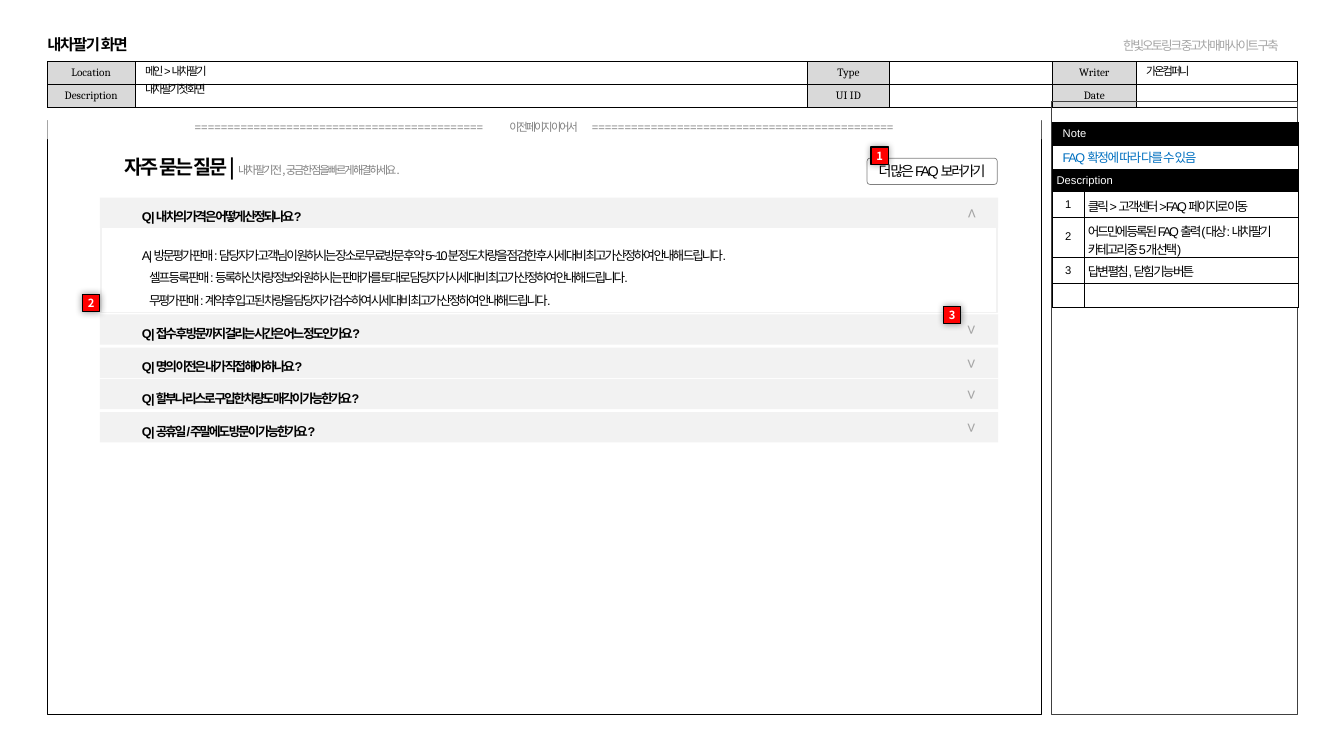
"""Builds the FAQ wireframe slide on a grid of tenth-of-an-inch cells."""
from lxml import etree
from pptx import Presentation
from pptx import util as u
from pptx.dml.color import RGBColor
from pptx.enum import shapes, text
from pptx.oxml.ns import qn

BLACK = RGBColor(0x00, 0x00, 0x00)
WHITE = RGBColor(0xFF, 0xFF, 0xFF)
DARK = RGBColor(0x40, 0x40, 0x40)
GRAY = RGBColor(0x80, 0x80, 0x80)
SILVER = RGBColor(0xA6, 0xA6, 0xA6)
LABEL = RGBColor(0xD9, 0xD9, 0xD9)
BAND = RGBColor(0xF2, 0xF2, 0xF2)
BLUE = RGBColor(0x00, 0x70, 0xC0)
RED = RGBColor(0xFF, 0x00, 0x00)
KOREAN = "Noto Sans CJK KR"
CENTER, LEFT = text.PP_ALIGN.CENTER, text.PP_ALIGN.LEFT
TOP, MIDDLE = text.MSO_ANCHOR.TOP, text.MSO_ANCHOR.MIDDLE
RECT = shapes.MSO_SHAPE.RECTANGLE


class Board:
    """Holds the current slide, its grid and its base text style."""

    def __init__(self, prs):
        self.s = prs.slides.add_slide(prs.slide_layouts[6])
        self.cell = u.Inches(0.1)
        self.base = dict(name="Arial", size=8, bold=False, color=BLACK, spc=0)

    def g(self, *cells):
        return [round(c * self.cell) for c in cells]

    def add_words(self, p, words, **style):
        style = {**self.base, **style}
        r = p.add_run()
        r.text = words
        for key, value in dict(name=style["name"], size=u.Pt(style["size"]), bold=style["bold"]).items():
            setattr(r.font, key, value)
        r.font.color.rgb = style["color"]
        rPr = r._r.get_or_add_rPr()
        rPr.set("spc", str(round(style["spc"] * 100)))
        etree.SubElement(rPr, qn("a:ea"), typeface=KOREAN)

    def set_text(self, tf, paras, anchor=TOP, inset=(1, 0.5), indent=0, para=None, **style):
        dx, dy = self.g(*inset)
        frame = dict(word_wrap=True, vertical_anchor=anchor, margin_left=dx,
                     margin_right=dx, margin_top=dy, margin_bottom=dy)
        for key, value in frame.items():
            setattr(tf, key, value)
        for i, runs in enumerate(paras):
            p = tf.add_paragraph() if i else tf.paragraphs[0]
            for key, value in {"alignment": LEFT, **(para or {})}.items():
                setattr(p, key, value)
            if i and indent:
                p._p.get_or_add_pPr().set("marL", str(self.g(indent)[0]))
            for words, extra in ([(runs, {})] if isinstance(runs, str) else runs):
                self.add_words(p, words, **{**style, **extra})

    def label(self, at, *paras, rotation=0, **fmt):
        sp = self.s.shapes.add_textbox(*self.g(*at))
        sp.rotation = rotation
        self.set_text(sp.text_frame, paras, **fmt)

    def box(self, at, *paras, kind=RECT, fill=None, line=None, width=1, **fmt):
        sp = self.s.shapes.add_shape(kind, *self.g(*at))
        sp.shadow.inherit = False
        for part, color in ((sp.fill, fill), (sp.line.fill, line)):
            if color is None:
                part.background()
            else:
                part.solid()
                part.fore_color.rgb = color
        if line is not None:
            sp.line.width = u.Pt(width)
        if paras:
            self.set_text(sp.text_frame, paras, **fmt)
        return sp

    def badge(self, left, top, number):
        sp = self.box((left, top, 1.7, 1.7), number, fill=RED, line=BLACK, anchor=MIDDLE, inset=(0, 0),
                      para=dict(alignment=CENTER), name=KOREAN, bold=True, color=WHITE)
        glow = etree.SubElement(sp._element.spPr.find(qn("a:effectLst")), qn("a:outerShdw"),
                                blurRad=str(u.Pt(5)), dist="0", dir="0", algn="ctr", rotWithShape="0")
        color = etree.SubElement(glow, qn("a:srgbClr"), val=str(BLACK))
        etree.SubElement(color, qn("a:alpha"), val="40000")

    def rule(self, x1, y1, x2, y2):
        sp = self.s.shapes.add_connector(shapes.MSO_CONNECTOR.STRAIGHT, *self.g(x1, y1, x2, y2))
        sp.line.color.rgb = BLACK
        sp.line.width = u.Pt(0.25)
        etree.SubElement(sp._element.spPr, qn("a:effectLst"))

    def table(self, left, top, cols, rows):
        at = self.g(left, top, sum(cols), sum(rows))
        tbl = self.s.shapes.add_table(len(rows), len(cols), *at).table
        tbl.first_row = tbl.horz_banding = False
        for items, sizes, key in ((tbl.columns, cols, "width"), (tbl.rows, rows, "height")):
            for item, size in zip(items, self.g(*sizes)):
                setattr(item, key, size)
        return tbl

    def fill_cell(self, c, words="", fill=WHITE, anchor=MIDDLE, inset=(0.4, 0.4), para=None, **style):
        c.fill.solid()
        c.fill.fore_color.rgb = fill
        self.set_text(c.text_frame, [words] if words else [], inset=inset, para=para, **style)
        c.vertical_anchor = anchor
        dx, dy = self.g(*inset)
        for side, value in dict(left=dx, right=dx, top=dy, bottom=dy).items():
            setattr(c, f"margin_{side}", value)
        if not words:
            etree.SubElement(c.text_frame.paragraphs[0]._p, qn("a:endParaRPr"), sz="800")
        tcPr = c._tc.get_or_add_tcPr()
        for i, tag in enumerate(("a:lnL", "a:lnR", "a:lnT", "a:lnB")):
            ln = etree.Element(qn(tag), w=str(u.Pt(0.25)))
            etree.SubElement(etree.SubElement(ln, qn("a:solidFill")), qn("a:srgbClr"), val=str(BLACK))
            tcPr.insert(i, ln)


def header(b):
    tbl = b.table(4.7, 6.1, (8.7, 66.7, 8.1, 16.2, 8.3, 16), (2.28, 2.28))
    for r, names in enumerate((("Location", "Type", "Writer"), ("Description", "UI ID", "Date"))):
        for c, name in enumerate(names):
            b.fill_cell(tbl.cell(r, 2 * c), name, fill=LABEL, name="Cambria",
                        para=dict(alignment=CENTER, space_before=u.Pt(1.6)))
            b.fill_cell(tbl.cell(r, 2 * c + 1))
    b.rule(4.7, 6.1, 128.7, 6.1)
    b.box((104.3, 10, 24.4, 60.9), line=DARK, width=0.25)
    b.box((4.7, 12, 98.6, 58.9), line=BLACK)
    b.box((4.7, 11.4, 98.6, 2.4), [("=" * 44, {}), (" ", dict(spc=16)), ("이전페이지 이어서", dict(spc=-1.5)),
                                   (" ", dict(spc=8)), ("=" * 46, {})],
          fill=WHITE, color=GRAY, para=dict(alignment=CENTER))
    b.label((110.4, 3.3, 19.3, 2.5), "한빛오토링크 중고차매매사이트 구축", size=9, color=SILVER, spc=-1.5)
    b.label((4.7, 3.7, 40.5, 1.7), "내차팔기 화면", inset=(0, 0), size=11, bold=True, spc=-1,
            para=dict(line_spacing=0.9))
    for left, top, width, words in ((13.4, 6.1, 66.6, "메인 > 내차팔기"), (13.4, 7.9, 66.6, "내차팔기 첫 화면"),
                                    (112.7, 6.1, 16, "가온컴퍼니")):
        b.label((left, top, width, 2), words, anchor=MIDDLE, inset=(1, 0), spc=-1.5,
                para=dict(line_spacing=0.9))


def faq(b):
    b.label((11.4, 14.9, 43.5, 3.4),
            [("자주 묻는 질문 | ", dict(size=14, bold=True)),
             ("내차 팔기 전, 궁금한 점을 빠르게 해결하세요.", dict(color=GRAY))], name=KOREAN, spc=-1.5)
    more = b.box((86, 15.7, 12.9, 2.6), "더 많은 FAQ 보러가기", kind=shapes.MSO_SHAPE.ROUNDED_RECTANGLE,
                 fill=WHITE, line=GRAY, width=0.5, anchor=MIDDLE, inset=(0, 0), size=10, spc=-1.5,
                 para=dict(alignment=CENTER))
    more.adjustments[0] = 0.11
    body = dict(size=9, spc=-1.5, para=dict(line_spacing=1.5))
    b.box((10, 22.6, 88.9, 8.4), fill=WHITE, line=BAND)
    b.label((13.1, 23.3, 81.4, 7.8),
            "A | 방문평가 판매 : 담당자가 고객님이 원하시는 장소로 무료방문 후 약 5~10분 정도 차량을 점검한 후 시세 대비 최고가 산정하여 안내해 드립니다.",
            "셀프 등록 판매 : 등록하신 차량 정보와 원하시는 판매가를 토대로 담당자가 시세 대비 최고가 산정하여 안내해 드립니다.",
            "무평가 판매 : 계약 후 입고된 차량을 담당자가 검수하여 시세 대비 최고가 산정하여 안내해 드립니다.",
            indent=0.7, **body)
    questions = ((19.6, 270, "내 차의 가격은 어떻게 산정되나요?"),
                 (31.2, 90, "접수 후 방문까지 걸리는 시간은 어느 정도인가요?"),
                 (34.5, 90, "명의 이전은 내가 직접 해야 하나요?"),
                 (37.6, 90, "할부나 리스로 구입한 차량도 매각이 가능한가요?"),
                 (40.9, 90, "공휴일/주말에도 방문이 가능한가요?"))
    for top, turn, question in questions:
        b.box((9.9, top, 89.1, 3), fill=BAND)
        b.label((13.1, top - 0.1, 40, 3), f"Q | {question}", bold=True, **body)
        b.label((94.8, top + 0.1, 3.2, 3), ">", rotation=turn, anchor=MIDDLE, inset=(0, 0), name=KOREAN,
                size=12, color=SILVER, para=dict(alignment=CENTER))


def notes(b):
    tbl = b.table(104.4, 12.1, (3.1, 21.3), (2.3, 2.4, 2.2, 2.5, 4, 2.6, 2.3))
    banners = (("Note", dict(fill=BLACK, color=WHITE, inset=(1, 0))),
               ("FAQ 확정에 따라 다를 수 있음", dict(color=BLUE, size=9, spc=-1, inset=(1, 0.3))),
               ("Description", dict(fill=BLACK, color=WHITE, inset=(0.4, 0))))
    for r, (words, fmt) in enumerate(banners):
        tbl.cell(r, 0).merge(tbl.cell(r, 1))
        b.fill_cell(tbl.cell(r, 0), words, **fmt)
    items = ("클릭 > 고객센터 > FAQ 페이지로 이동",
             "어드민에 등록된 FAQ 출력(대상: 내차팔기 카테고리 중 5개 선택)",
             "답변 펼침, 닫힘 기능 버튼", "")
    for n, words in enumerate(items, 1):
        b.fill_cell(tbl.cell(n + 2, 0), str(n) if words else "", spc=-1, para=dict(alignment=CENTER))
        b.fill_cell(tbl.cell(n + 2, 1), words, anchor=TOP, inset=(0.4, 0.5), size=9, spc=-1.5)


def main():
    prs = Presentation()
    prs.slide_width, prs.slide_height = u.Inches(13.33), u.Inches(7.5)
    b = Board(prs)
    header(b)
    faq(b)
    notes(b)
    for n, (left, top) in enumerate(((86.4, 14.6), (8.2, 29.2), (93.6, 30.4)), 1):
        b.badge(left, top, str(n))
    prs.save("out.pptx")


if __name__ == "__main__":
    main()
